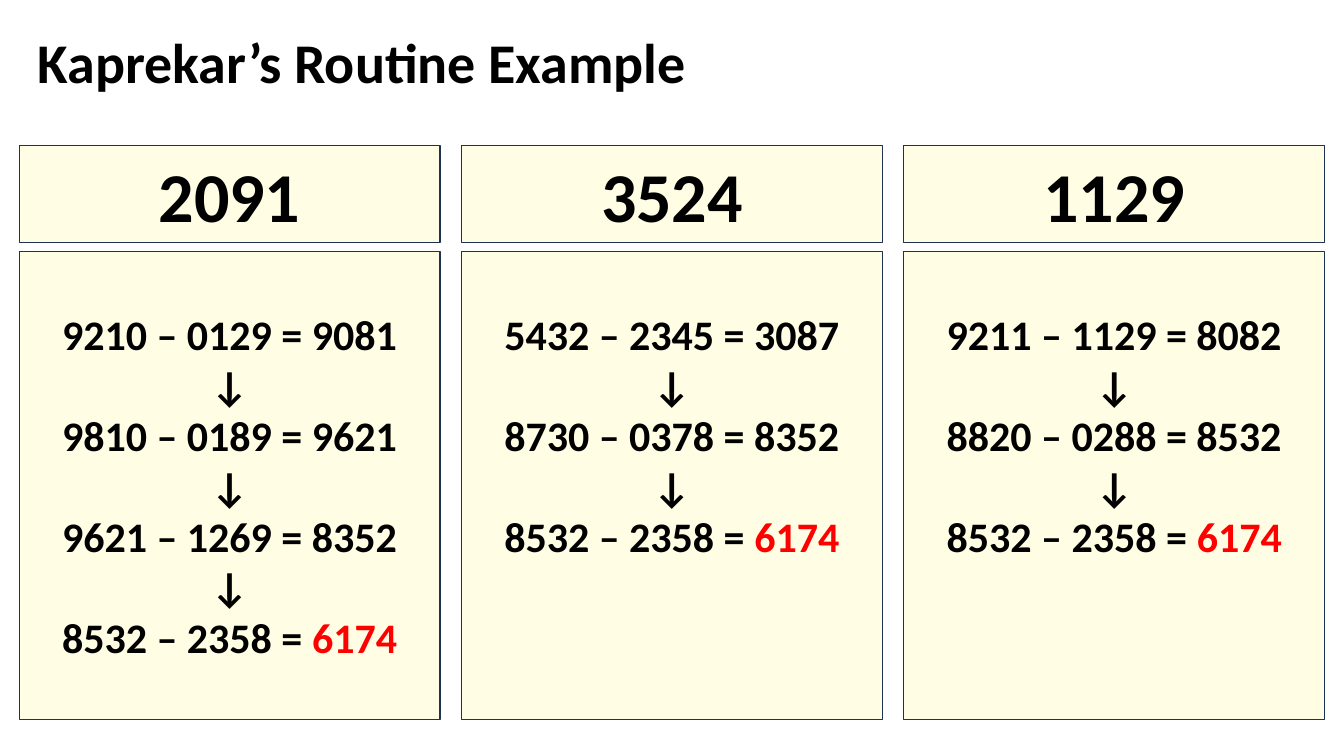
from pptx import Presentation
from pptx.dml.color import RGBColor
from pptx.enum.shapes import MSO_SHAPE as Shape
from pptx.enum.text import MSO_ANCHOR as Anchor, PP_ALIGN as Align
from pptx.util import Pt

COLORS = {"panel": "FFFDE3", "border": "1E3256", "text": "000000", "result": "FF0000"}
FONT = "Calibri"
KAPREKAR = "6174"

# Start number and the subtractions that follow from it
ROUTINES = [
    ("2091", ["9210 – 0129 = 9081", "9810 – 0189 = 9621",
              "9621 – 1269 = 8352", "8532 – 2358 = 6174"]),
    ("3524", ["5432 – 2345 = 3087", "8730 – 0378 = 8352", "8532 – 2358 = 6174"]),
    ("1129", ["9211 – 1129 = 8082", "8820 – 0288 = 8532", "8532 – 2358 = 6174"]),
]


def color(name):
    return RGBColor.from_string(COLORS[name])


def style(span, size, name="text"):
    span.font.name = FONT
    span.font.size = Pt(size)
    span.font.bold = True
    span.font.color.rgb = color(name)


def add_title(page, left, top, width, height):
    box = page.shapes.add_textbox(Pt(left), Pt(top), Pt(width), Pt(height))
    box.text_frame.word_wrap = True
    box.text_frame.text = "Kaprekar’s Routine Example"
    style(box.text_frame.paragraphs[0].runs[0], 48)


def add_panel(page, left, top, width, height):
    panel = page.shapes.add_shape(Shape.RECTANGLE, Pt(left), Pt(top), Pt(width), Pt(height))
    panel.shadow.inherit = False
    panel.fill.solid()
    panel.fill.fore_color.rgb = color("panel")
    panel.line.color.rgb = color("border")
    panel.line.width = Pt(1)
    return panel.text_frame


def add_routine(page, start, steps, left, top, width, height):
    header, gap, inset = 83.5, 7.2, 49.5

    # Start number
    frame = add_panel(page, left, top, width, header)
    frame.vertical_anchor = Anchor.MIDDLE
    frame.text = start
    frame.paragraphs[0].alignment = Align.CENTER
    style(frame.paragraphs[0].runs[0], 60)

    # Steps joined by arrows, aligned to the same first line in every column
    frame = add_panel(page, left, top + header + gap, width, height - header - gap)
    frame.vertical_anchor = Anchor.TOP
    frame.margin_top = Pt(inset)
    frame.text = "\n↓\n".join(steps)
    for para in frame.paragraphs:
        para.alignment = Align.CENTER
        span = para.runs[0]
        style(span, 36)
        if span.text.endswith(KAPREKAR):
            span.text = span.text.removesuffix(KAPREKAR)
            result = para.add_run()
            result.text = KAPREKAR
            style(result, 36, "result")


def add_routines(page, left, top, width, height):
    gap = 18.4
    column = (width - gap * (len(ROUTINES) - 1)) / len(ROUTINES)
    for index, (start, steps) in enumerate(ROUTINES):
        add_routine(page, start, steps, left + index * (column + gap), top, column, height)


def main():
    deck = Presentation()
    deck.slide_width, deck.slide_height = Pt(1152), Pt(648)
    page = deck.slides.add_slide(deck.slide_layouts[6])
    add_routines(page, 16.5, 124.6, 1119, 492.5)
    add_title(page, 25.2, 20.2, 892, 65.5)
    deck.save("out.pptx")


if __name__ == "__main__":
    main()
